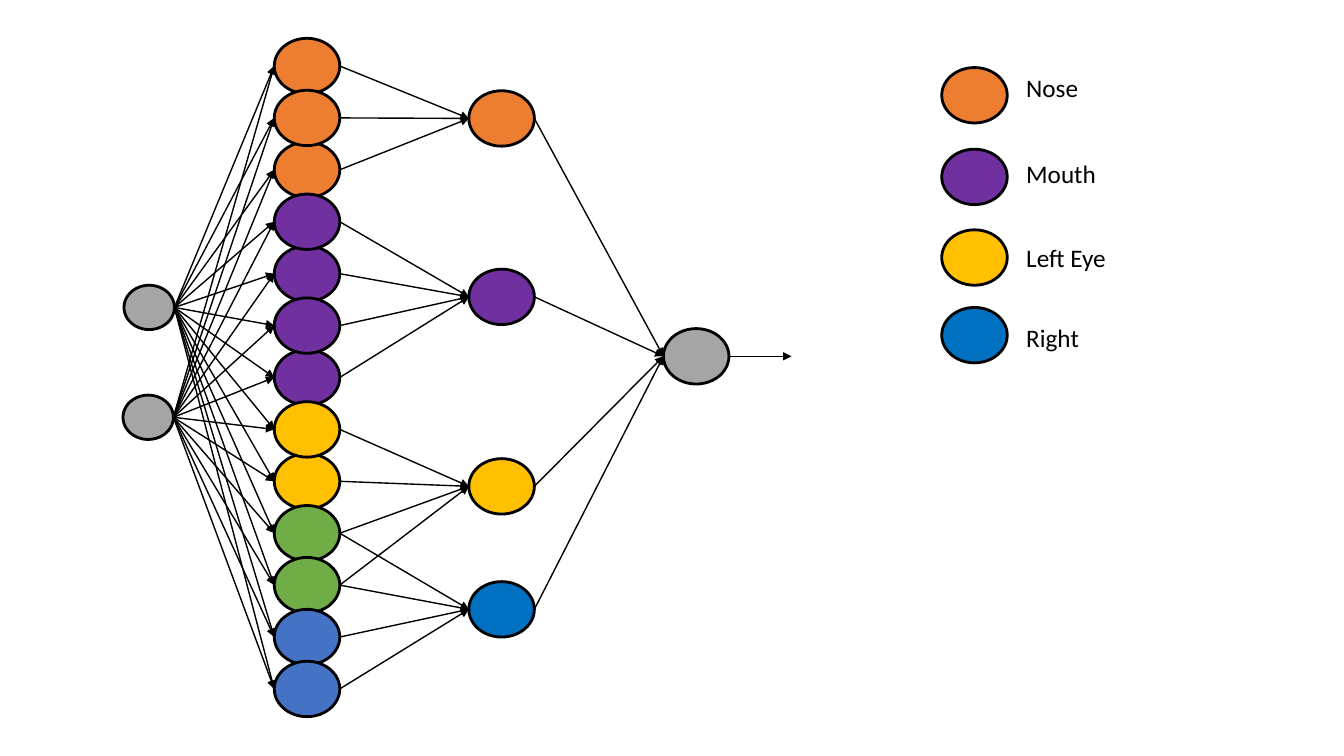
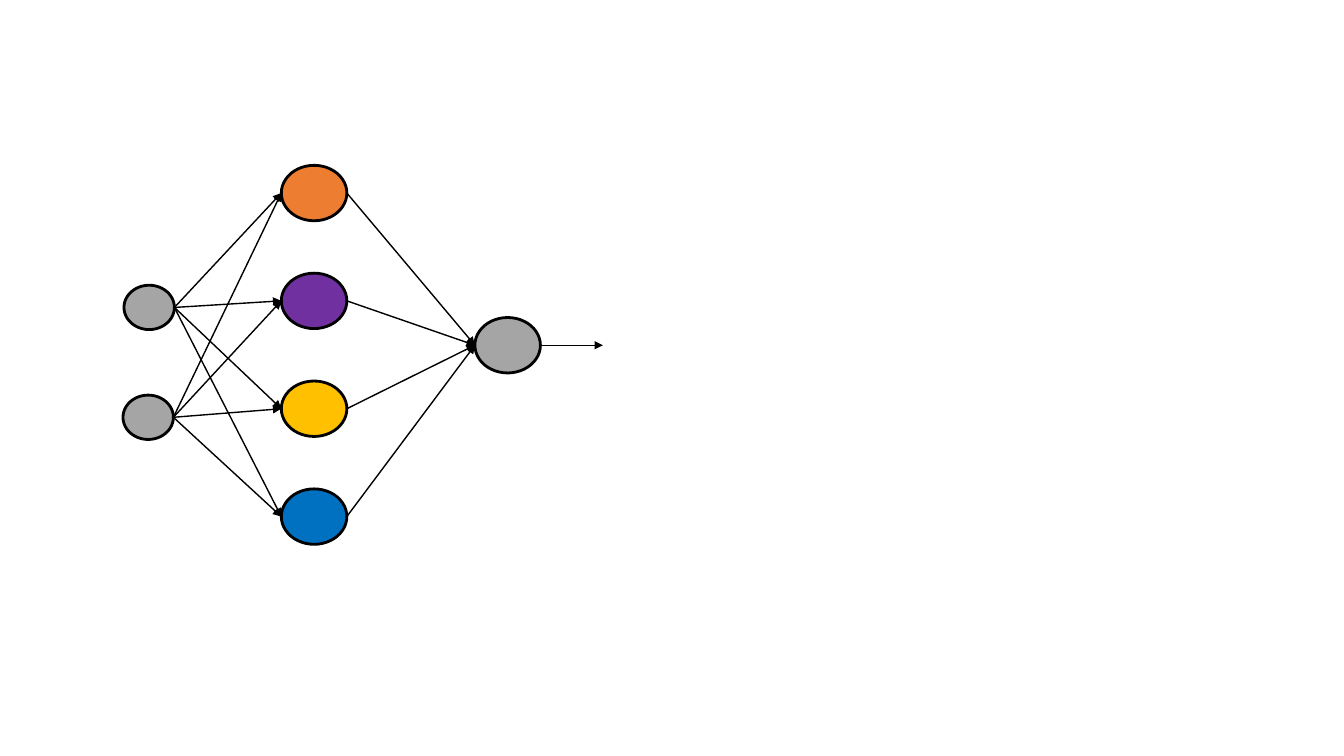
import pptx
import pptx.dml.color
import pptx.enum.shapes
import pptx.oxml
import pptx.oxml.ns
import pptx.util
from pptx.util import Inches

COLORS = {
    "ink": "000000", "gray": "A5A5A5", "nose": "ED7D31", "mouth": "7030A0",
    "left_eye": "FFC000", "right_eye": "0070C0", "both_eyes": "70AD47",
    "right_part": "4472C4",
}
FONT = "Calibri"
NODE_W, NODE_H = 0.65, 0.55
INPUT_W, INPUT_H = 0.5, 0.44
OUTPUT_ARROW = 0.62
FEATURES = ["nose", "mouth", "left_eye", "right_eye"]


def rgb(name):
    """Return the named colour as an RGBColor."""
    return pptx.dml.color.RGBColor.from_string(COLORS[name])


def add_node(s, x, y, color, w=NODE_W, h=NODE_H):
    """Draw an outlined ellipse and return it."""
    sp = s.shapes.add_shape(pptx.enum.shapes.MSO_SHAPE.OVAL,
                            Inches(x), Inches(y), Inches(w), Inches(h))
    sp.shadow.inherit = False
    sp.fill.solid()
    sp.fill.fore_color.rgb = rgb(color)
    sp.line.color.rgb = rgb("ink")
    sp.line.width = pptx.util.Pt(2)
    return sp


def add_arrow(s, x1, y1, x2, y2):
    """Draw a thin straight arrow between two points in EMU."""
    cx = s.shapes.add_connector(pptx.enum.shapes.MSO_CONNECTOR.STRAIGHT,
                                x1, y1, x2, y2)
    cx.line.color.rgb = rgb("ink")
    cx.line.width = pptx.util.Pt(1)
    ln = cx.line._get_or_add_ln()
    ln.append(pptx.oxml.parse_xml(
        '<a:tailEnd %s type="triangle"/>' % pptx.oxml.ns.nsdecls("a")))
    spPr = cx._element.spPr
    spPr.append(spPr.makeelement(pptx.oxml.ns.qn("a:effectLst"), {}))


def link(s, source, target):
    """Draw an arrow from the right of one node to the left of another."""
    add_arrow(s, source.left + source.width, source.top + source.height // 2,
              target.left, target.top + target.height // 2)


def link_all(s, sources, targets):
    """Connect every source to every target."""
    for source in sources:
        for target in targets:
            link(s, source, target)


def add_inputs(s, x, y):
    """Draw the two input nodes, the second slightly to the left."""
    return [add_node(s, x + dx, y + dy, "gray", INPUT_W, INPUT_H)
            for dx, dy in [(0.01, 0), (0, 1.09)]]


def add_output(s, x, y):
    """Draw the output node with its outgoing arrow."""
    node = add_node(s, x, y, "gray")
    right, middle = node.left + node.width, node.top + node.height // 2
    add_arrow(s, right, middle, right + Inches(OUTPUT_ARROW), middle)
    return node


def add_hidden_stack(s, x, y, pitch):
    """Draw the overlapping hidden nodes and return them top to bottom."""
    colors = (["nose"] * 3 + ["mouth"] * 4 + ["left_eye"] * 2
              + ["both_eyes"] * 2 + ["right_part"] * 2)
    back_to_front = [0, 2, 4, 6, 8, 9, 10, 11, 7, 5, 3, 1, 12]
    nodes = {i: add_node(s, x, y + i * pitch, colors[i]) for i in back_to_front}
    return [nodes[i] for i in range(len(colors))]


def add_grouped_network(s, x, y):
    """Draw the network whose hidden nodes feed one node per feature."""
    inputs = add_inputs(s, x, y + 2.45)
    hidden = add_hidden_stack(s, x + 1.5, y, 0.515)
    features = [add_node(s, x + 3.43, y + dy, color)
                for color, dy in zip(FEATURES, [0.52, 2.29, 4.17, 5.39])]
    output = add_output(s, x + 5.36, y + 2.88)
    link_all(s, inputs, hidden)
    groups = [(0, 3), (3, 7), (7, 11), (9, 13)]
    for feature, (first, end) in zip(features, groups):
        link_all(s, hidden[first:end], [feature])
    link_all(s, features, [output])


def add_simple_network(s, x, y):
    """Draw the network with a single node per feature."""
    inputs = add_inputs(s, x, y + 1.19)
    features = [add_node(s, x + 1.57, y + i * 1.07, color)
                for i, color in enumerate(FEATURES)]
    output = add_output(s, x + 3.49, y + 1.51)
    link_all(s, features, [output])
    link_all(s, inputs, features)


def add_legend(s, x, y):
    """Draw a coloured node and a label for each feature."""
    rows = [("Nose", 0, 0), ("Mouth", 0.81, 0.85),
            ("Left Eye", 1.61, 1.68), ("Right", 2.38, 2.48)]
    for color, (label, node_dy, label_dy) in zip(FEATURES, rows):
        add_node(s, x, y + node_dy, color)
        tb = s.shapes.add_textbox(Inches(x + 0.74), Inches(y + label_dy),
                                  Inches(1.44), Inches(0.4))
        tf = tb.text_frame
        tf.word_wrap = True
        r = tf.paragraphs[0].add_run()
        r.text = label
        r.font.name = FONT
        r.font.size = pptx.util.Pt(18)
        r.font.color.rgb = rgb("ink")


def main():
    """Build both slides and save the presentation."""
    prs = pptx.Presentation()
    prs.slide_width, prs.slide_height = Inches(13.33), Inches(7.5)
    blank = prs.slide_layouts[6]
    s = prs.slides.add_slide(blank)
    add_grouped_network(s, 1.22, 0.38)
    add_legend(s, 9.34, 0.67)
    s = prs.slides.add_slide(blank)
    add_simple_network(s, 1.22, 1.64)
    prs.save("out.pptx")


main()
